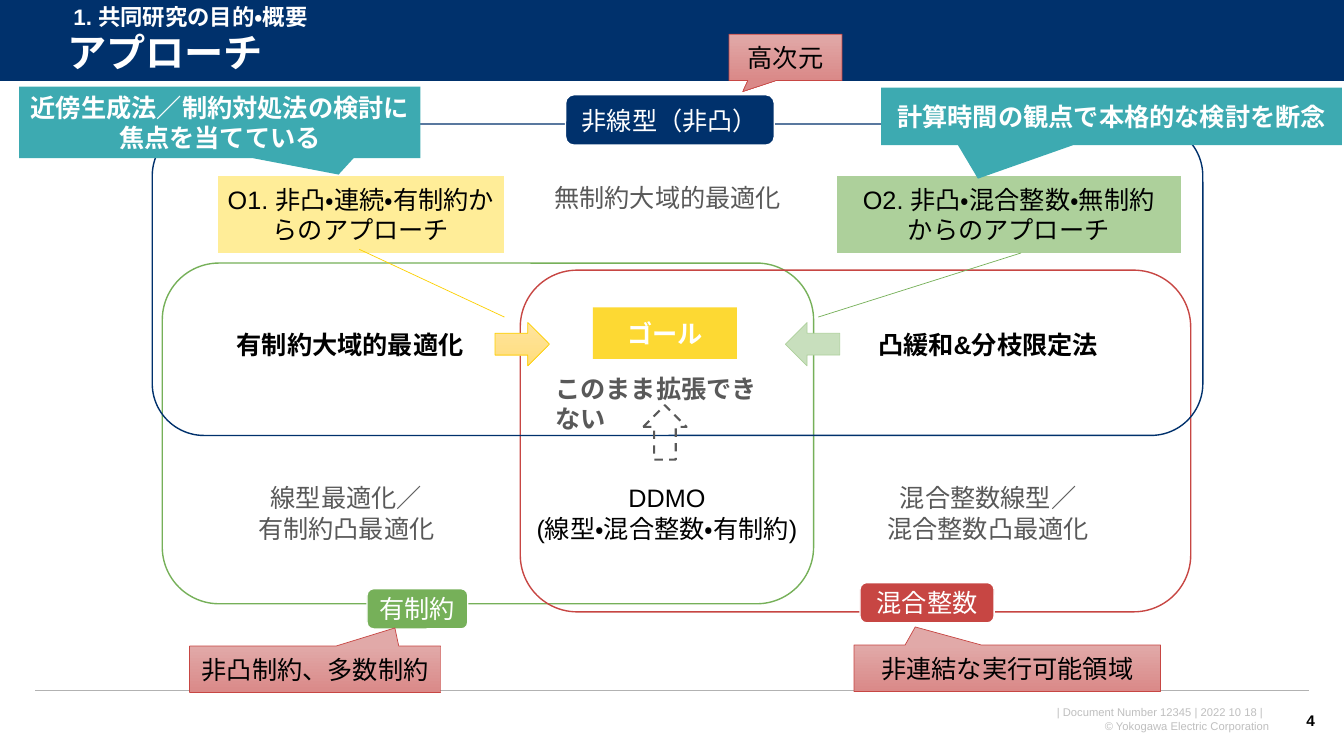
"""Build the slide on approaches to constrained global optimization."""
import pptx
import pptx.util
import pptx.dml.color
import pptx.enum.dml
import pptx.enum.lang
import pptx.enum.shapes
import pptx.enum.text
import pptx.oxml.ns
import pptx.oxml.xmlchemy

Inches, Pt = pptx.util.Inches, pptx.util.Pt
MSO = pptx.enum.shapes.MSO_SHAPE
ALIGN = pptx.enum.text.PP_ALIGN
ANCHOR = pptx.enum.text.MSO_ANCHOR

NAVY, GREEN, RED, TEAL = "00316C", "76B059", "C74643", "3DAAB1"
GOLD, GREY, WHITE, BLACK = "FDD000", "595959", "FFFFFF", "000000"
PINK, AMBER = ("E1A9A8", "DA8988"), ("FFE49E", "FFDD7C")

RULES = [(0, 13.33, 0.81, WHITE, 0.75), (0.35, 12.98, 6.85, "B2B2B2", 1)]

HEADER = [
    ((9.48, 6.95, 3.21, 0.37),
     ["| Document Number 12345 | 2022 10 18 |  ", "© Yokogawa Electric Corporation"],
     dict(size=8, color="BFBFBF", align=ALIGN.RIGHT)),
    ((12.7, 6.95, 0.44, 0.4), ["4"],
     dict(size=11, color=BLACK, bold=True, align=ALIGN.RIGHT, anchor=ANCHOR.MIDDLE)),
    ((0.63, -0.02, 5.76, 0.37), ["1. 共同研究の目的・概要"],
     dict(size=16, color=WHITE, bold=True, align=ALIGN.LEFT)),
    ((0.57, 0.26, 12.47, 0.57), ["アプローチ"],
     dict(size=28, color=WHITE, bold=True, align=ALIGN.LEFT, anchor=ANCHOR.MIDDLE, spacing=0.9)),
]

REGIONS = [
    ((1.61, 2.61, 6.46, 3.38), GREEN),
    ((5.16, 2.68, 6.65, 3.39), RED),
    ((1.51, 1.23, 10.42, 3.09), NAVY),
]

TAGS = [
    ((5.61, 0.94, 2.07, 0.5), NAVY, "非線型（非凸）"),
    ((3.64, 5.84, 1, 0.4), GREEN, "有制約"),
    ((8.53, 5.78, 1.33, 0.4), RED, "混合整数"),
]

ARROWS = [
    (MSO.LEFT_ARROW, (7.79, 3.2, 0.54, 0.43), "C8DFBD", "ADD09B", 0.5, False),
    (MSO.RIGHT_ARROW, (4.91, 3.2, 0.54, 0.43), AMBER, GOLD, 0.5, False),
    (MSO.UP_ARROW, (6.38, 4.02, 0.43, 0.54), None, GREY, 1.5, True),
]

APPROACHES = [
    ((2.16, 1.75, 2.84, 0.76), (0.952, 0.494, 1.837, 1.001), "FFED98", GOLD,
     ["O1. 非凸・連続・有制約からのアプローチ"]),
    ((8.3, 1.75, 3.41, 0.76), (1, 0.536, 1.837, -0.054), "ADD09B", GREEN,
     ["O2. 非凸・混合整数・無制約", "からのアプローチ"]),
]

LABELS = [
    ((5.17, 4.74, 2.89, 0.71), ["DDMO", "(線型・混合整数・有制約)"], BLACK, False, ALIGN.CENTER),
    ((2.25, 3.22, 2.47, 0.4), ["有制約大域的最適化"], BLACK, True, ALIGN.LEFT),
    ((5.41, 3.65, 2.44, 0.4), ["このまま拡張できない"], GREY, True, ALIGN.LEFT),
    ((8.61, 3.22, 2.39, 0.4), ["凸緩和&分枝限定法"], BLACK, True, ALIGN.LEFT),
    ((2.45, 4.74, 1.97, 0.71), ["線型最適化／", "有制約凸最適化"], GREY, False, ALIGN.CENTER),
    ((8.69, 4.74, 2.22, 0.71), ["混合整数線型／", "混合整数凸最適化"], GREY, False, ALIGN.CENTER),
    ((5.4, 1.76, 2.47, 0.4), ["無制約大域的最適化"], GREY, False, ALIGN.LEFT),
]

DIFFICULTIES = [
    ((8.47, 6.4, 3.04, 0.46), (-0.3, -0.892), "非連結な実行可能領域"),
    ((1.88, 6.41, 2.49, 0.46), (0.318, -0.892), "非凸制約、多数制約"),
    ((7.23, 0.34, 1.12, 0.46), (-0.377, 0.737), "高次元"),
]

REMARKS = [
    ((8.74, 0.87, 4.57, 0.57), (-0.29, 1.084), "計算時間の観点で本格的な検討を断念"),
    ((0.19, 0.86, 3.98, 0.71), (0.296, 0.729), "近傍生成法／制約対処法の検討に焦点を当てている"),
]


def rgb(value):
    return pptx.dml.color.RGBColor.from_string(value)


def write(sp, lines, size=18, color=BLACK, bold=False, align=ALIGN.CENTER,
          anchor=ANCHOR.TOP, spacing=None):
    tf = sp.text_frame
    tf.word_wrap = True
    tf.vertical_anchor = anchor
    for i, line in enumerate(lines):
        p = tf.paragraphs[0] if i == 0 else tf.add_paragraph()
        p.alignment = align
        if spacing:
            p.line_spacing = spacing
        r = p.add_run()
        r.text = line
        look = dict(name="Arial", size=Pt(size), bold=bold,
                    language_id=pptx.enum.lang.MSO_LANGUAGE_ID.JAPANESE)
        for key, value in look.items():
            setattr(r.font, key, value)
        r.font.color.rgb = rgb(color)


def add_text(s, box, lines, **look):
    write(s.shapes.add_textbox(*map(Inches, box)), lines, **look)


def add_shape(s, kind, box, fill=None, line=None, width=1, adjust=(), lines=(), **look):
    sp = s.shapes.add_shape(kind, *map(Inches, box))
    sp.shadow.inherit = False
    for i, value in enumerate(adjust):
        sp.adjustments[i] = value
    if isinstance(fill, tuple):
        sp.fill.gradient()
        sp.fill.gradient_angle = 270
        for stop, color in zip(sp.fill.gradient_stops, fill):
            stop.color.rgb = rgb(color)
    elif fill:
        sp.fill.solid()
        sp.fill.fore_color.rgb = rgb(fill)
    else:
        sp.fill.background()
    if line:
        sp.line.color.rgb = rgb(line)
        sp.line.width = Pt(width)
    else:
        sp.line.fill.background()
    if lines:
        write(sp, lines, anchor=ANCHOR.MIDDLE, **look)
    return sp


def main():
    prs = pptx.Presentation()
    prs.slide_width, prs.slide_height = Inches(13.33), Inches(7.5)
    s = prs.slides.add_slide(prs.slide_layouts[6])
    qn = pptx.oxml.ns.qn
    element = pptx.oxml.xmlchemy.OxmlElement

    add_shape(s, MSO.RECTANGLE, (0, 0, 13.33, 0.81), NAVY)
    for x1, x2, y, color, width in RULES:
        rule = s.shapes.add_connector(pptx.enum.shapes.MSO_CONNECTOR.STRAIGHT,
                                      *map(Inches, (x1, y, x2, y)))
        rule.line.color.rgb = rgb(color)
        rule.line.width = Pt(width)
        rule._element.spPr.append(element("a:effectLst"))
    for box, lines, look in HEADER:
        add_text(s, box, lines, **look)

    for box, color in REGIONS:
        add_shape(s, MSO.ROUNDED_RECTANGLE, box, line=color)
    for box, color, label in TAGS:
        add_shape(s, MSO.ROUNDED_RECTANGLE, box, color, WHITE, lines=[label], color=WHITE)
    for kind, box, fill, line, width, dashed in ARROWS:
        arrow = add_shape(s, kind, box, fill, line, width)
        if dashed:
            arrow.line.dash_style = pptx.enum.dml.MSO_LINE.DASH
    for box, adjust, fill, line, lines in APPROACHES:
        add_shape(s, MSO.LINE_CALLOUT_1_NO_BORDER, box, fill, line, 0.5, adjust, lines)
    for box, lines, color, bold, align in LABELS:
        add_text(s, box, lines, color=color, bold=bold, align=align)

    goal = add_shape(s, MSO.RECTANGLE, (5.88, 3.05, 1.43, 0.51), GOLD,
                     lines=["ゴール"], color=WHITE, bold=True)
    alpha = element("a:alpha")
    alpha.set("val", "80000")
    goal._element.spPr.find(qn("a:solidFill"))[0].append(alpha)

    for box, adjust, label in DIFFICULTIES:
        add_shape(s, MSO.RECTANGULAR_CALLOUT, box, PINK, RED, 0.5, adjust, [label])
    for box, adjust, label in REMARKS:
        add_shape(s, MSO.RECTANGULAR_CALLOUT, box, TEAL, adjust=adjust, lines=[label],
                  color=WHITE, bold=True)
    prs.save("out.pptx")


if __name__ == "__main__":
    main()
